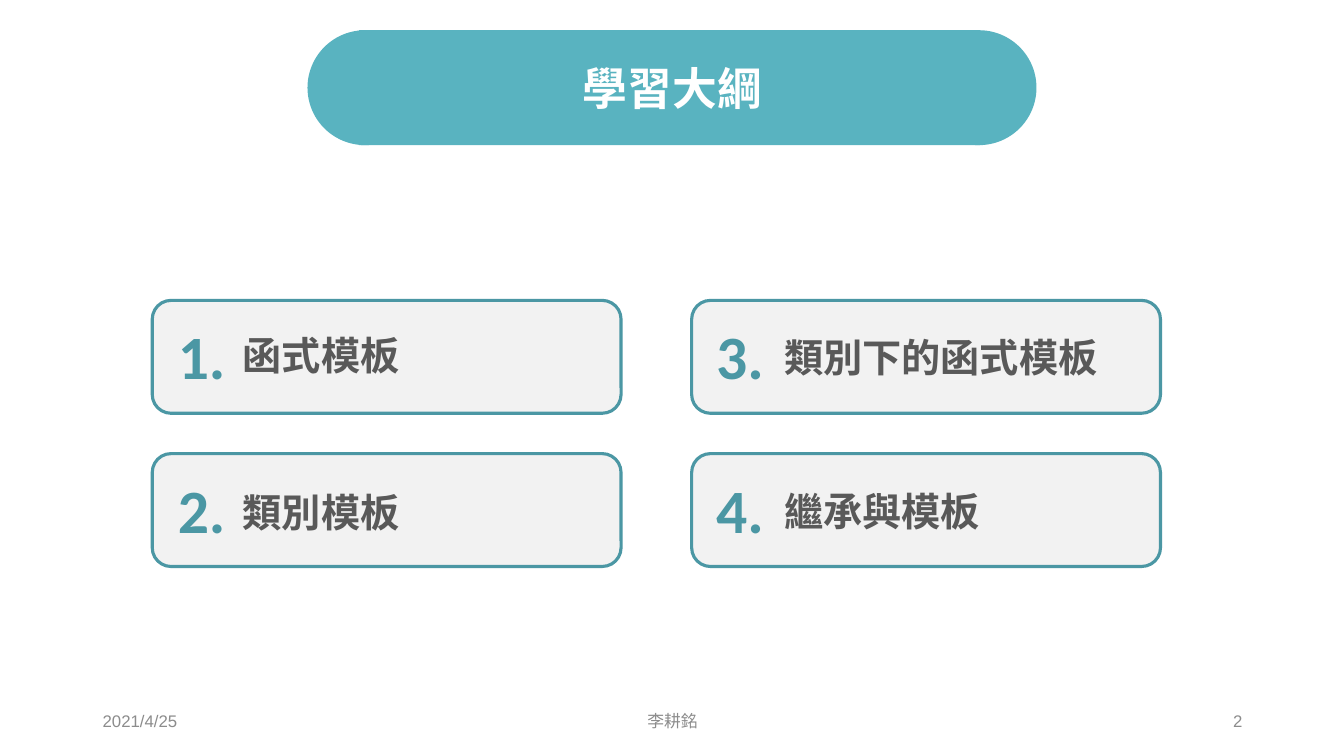
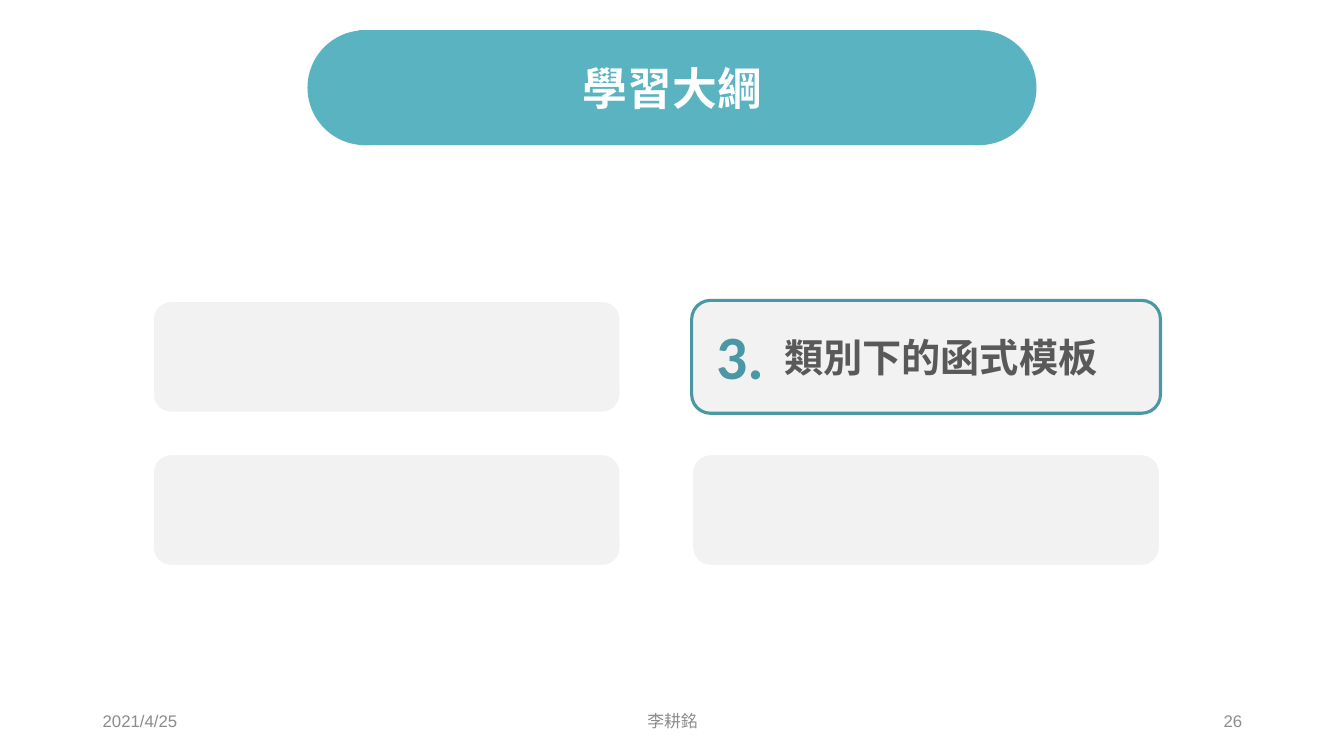
from lxml.etree import SubElement
from pptx import Presentation
from pptx.dml.color import RGBColor
from pptx.enum.shapes import MSO_SHAPE as Shape
from pptx.enum.text import MSO_ANCHOR as Anchor, MSO_AUTO_SIZE as AutoSize, PP_ALIGN as Align
from pptx.oxml.ns import qn
from pptx.util import Inches, Pt

BAND, ACCENT, CARD = "59B3C0", "4B97A4", "F2F2F2"
LABEL, FOOTER, WHITE = "595959", "8C8C8C", "FFFFFF"
CJK = "Noto Sans CJK TC"


def write(box, text, size, color, font, bold=False, align=Align.LEFT, anchor=Anchor.MIDDLE):
    frame = box.text_frame
    frame.text = text
    frame.vertical_anchor = anchor
    para = frame.paragraphs[0]
    para.alignment = align
    span = para.runs[0]
    span.font.size = Pt(size)
    span.font.bold = bold
    span.font.name = font
    span.font.color.rgb = RGBColor.from_string(color)
    for props in box.element.iter(qn("a:rPr")):
        SubElement(props, qn("a:ea"), typeface=CJK)
    return frame


def add_panel(page, kind, left, top, width, height, fill):
    panel = page.shapes.add_shape(kind, Inches(left), Inches(top), Inches(width), Inches(height))
    panel.shadow.inherit = False
    panel.fill.solid()
    panel.fill.fore_color.rgb = RGBColor.from_string(fill)
    return panel


deck = Presentation()
deck.slide_width, deck.slide_height = Inches(13.33), Inches(7.5)

band_parts = [(Shape.OVAL, 3.05, 1.14), (Shape.OVAL, 9.14, 1.14), (Shape.RECTANGLE, 3.56, 6.16)]
topics = [("函式模板", 3.24), ("類別模板", 4.79), ("類別下的函式模板", 3.26), ("繼承與模板", 4.78)]
outlines = [("2", {1, 2, 3, 4}), ("26", {3})]

for page_number, active in outlines:
    page = deck.slides.add_slide(deck.slide_layouts[5])

    title = page.shapes.title
    title.left, title.top = Inches(0.92), Inches(0.3)
    title.width, title.height = Inches(11.5), Inches(1.14)
    write(title, "學習大綱", 32, WHITE, CJK, True, Align.CENTER)
    for kind, left, width in band_parts:
        part = add_panel(page, kind, left, 0.3, width, 1.14, BAND)
        part.line.fill.background()
        title.element.addprevious(part.element)

    footers = [
        ("2021/4/25", 0.92, 3, Align.LEFT),
        ("李耕銘", 4.42, 4.5, Align.CENTER),
        (page_number, 9.42, 3, Align.RIGHT),
    ]
    for text, left, width, align in footers:
        box = page.shapes.add_textbox(Inches(left), Inches(6.95), Inches(width), Inches(0.4))
        write(box, text, 12, FOOTER, "Arial", align=align).word_wrap = True

    for index, (topic, label_top) in enumerate(topics):
        column, row = divmod(index, 2)
        left, top = 1.51 + 5.35 * column, 2.98 + 1.52 * row
        number = index + 1
        shown = number in active

        card = add_panel(page, Shape.ROUNDED_RECTANGLE, left, top, 4.65, 1.12, CARD)
        card.line.color.rgb = RGBColor.from_string(ACCENT if shown else WHITE)
        card.line.width = Pt(2.25)
        if not shown:
            continue

        number_box = page.shapes.add_textbox(
            Inches(1.66 + 5.34 * column), Inches(top + 0.13), Inches(0.68), Inches(0.84))
        number_frame = write(number_box, f"{number}.", 44, ACCENT, "Calibri", True,
                             Align.CENTER, Anchor.TOP)
        label_box = page.shapes.add_textbox(
            Inches(2.31 + 5.37 * column), Inches(label_top),
            Inches(0.2 + 0.39 * len(topic)), Inches(0.57))
        label_frame = write(label_box, topic, 28, LABEL, CJK, True)
        for frame in (number_frame, label_frame):
            frame.word_wrap = False
            frame.auto_size = AutoSize.SHAPE_TO_FIT_TEXT

deck.save("out.pptx")
